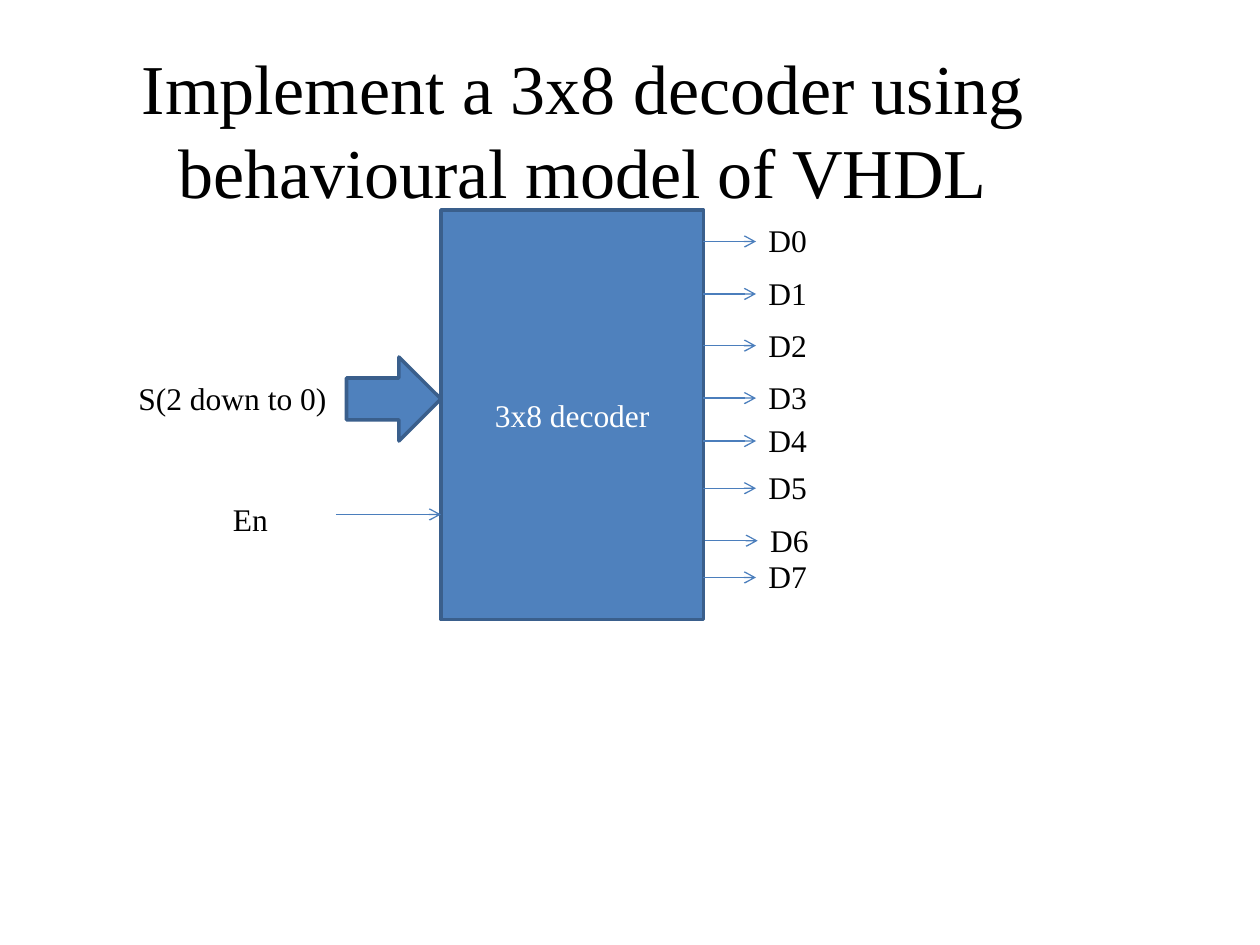
from lxml import etree
from pptx import Presentation
from pptx import util as u
from pptx.dml.color import RGBColor
from pptx.enum import shapes, text
from pptx.oxml.ns import qn

TITLE = ("Implement a 3x8 decoder using behavioural model of VHDL", (42, 30, 582, 86.4))
DECODER = ("3x8 decoder", (252, 120, 150, 234))
BUS = (198, 204, 54, 48)
INPUTS = [("S(2 down to 0)", (72, 213, 123, 28.8)), ("En", (126, 282, 36, 30))]
ENABLE = (192, 252, 294)
OUTPUTS = [("D0", 402, 138), ("D1", 402, 168), ("D2", 402, 197.5), ("D3", 402, 227.5),
           ("D4", 402, 252), ("D5", 402, 279), ("D6", 403, 309), ("D7", 402, 330)]
WIRE = 30
COLORS = {"fill": "4F81BD", "edge": "3A5F8C", "wire": "4B7EBC", "dark": "000000", "light": "FFFFFF"}


def rgb(name):
    return RGBColor.from_string(COLORS[name])


def pts(values):
    return [u.Pt(v) for v in values]


def write(sp, words, size=18, color="dark", align=text.PP_ALIGN.LEFT, **frame):
    tf = sp.text_frame
    for key, value in {"word_wrap": True, **frame}.items():
        setattr(tf, key, value)
    p = tf.paragraphs[0]
    p.alignment = align
    r = p.add_run()
    r.text = words
    for key, value in {"name": "Times New Roman", "size": u.Pt(size)}.items():
        setattr(r.font, key, value)
    r.font.color.rgb = rgb(color)


def add_block(s, kind, box):
    sp = s.shapes.add_shape(kind, *pts(box))
    sp.shadow.inherit = False
    sp.fill.solid()
    sp.fill.fore_color.rgb = rgb("fill")
    sp.line.color.rgb = rgb("edge")
    sp.line.width = u.Pt(2)
    return sp


def add_label(s, words, box):
    sp = s.shapes.add_textbox(*pts(box))
    write(sp, words, auto_size=text.MSO_AUTO_SIZE.SHAPE_TO_FIT_TEXT)


def add_wire(s, x1, x2, y):
    sp = s.shapes.add_connector(shapes.MSO_CONNECTOR.STRAIGHT, *pts((x1, y, x2, y)))
    sp.line.color.rgb = rgb("wire")
    sp.line.width = u.Pt(0.75)
    etree.SubElement(sp.line._get_or_add_ln(), qn("a:tailEnd"), type="arrow")
    etree.SubElement(sp._element.spPr, qn("a:effectLst"))


def main():
    """Build the 3x8 decoder slide."""
    prs = Presentation()
    prs.slide_width, prs.slide_height = pts((720, 540))
    s = prs.slides.add_slide(prs.slide_layouts[5])
    words, box = TITLE
    sp = s.shapes.title
    for key, value in zip(("left", "top", "width", "height"), pts(box)):
        setattr(sp, key, value)
    middle = {"align": text.PP_ALIGN.CENTER, "vertical_anchor": text.MSO_ANCHOR.MIDDLE}
    write(sp, words, 40, auto_size=text.MSO_AUTO_SIZE.NONE, **middle)

    words, box = DECODER
    write(add_block(s, shapes.MSO_SHAPE.RECTANGLE, box), words, color="light", **middle)
    add_block(s, shapes.MSO_SHAPE.RIGHT_ARROW, BUS)
    add_wire(s, *ENABLE)
    for words, box in INPUTS:
        add_label(s, words, box)
    for words, x, y in OUTPUTS:
        add_wire(s, x, x + WIRE, y)
        add_label(s, words, (x + WIRE, y - 15, 42, 28.8))
    prs.save("out.pptx")


if __name__ == "__main__":
    main()
